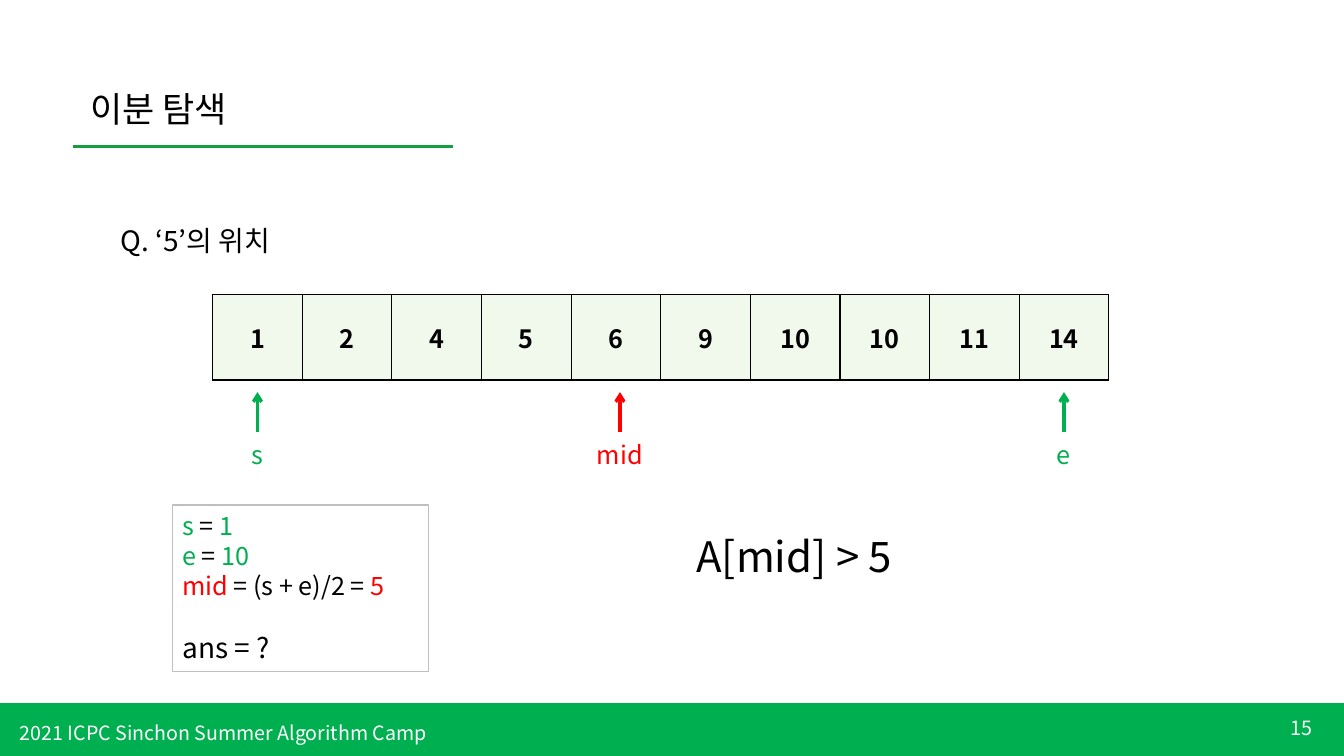
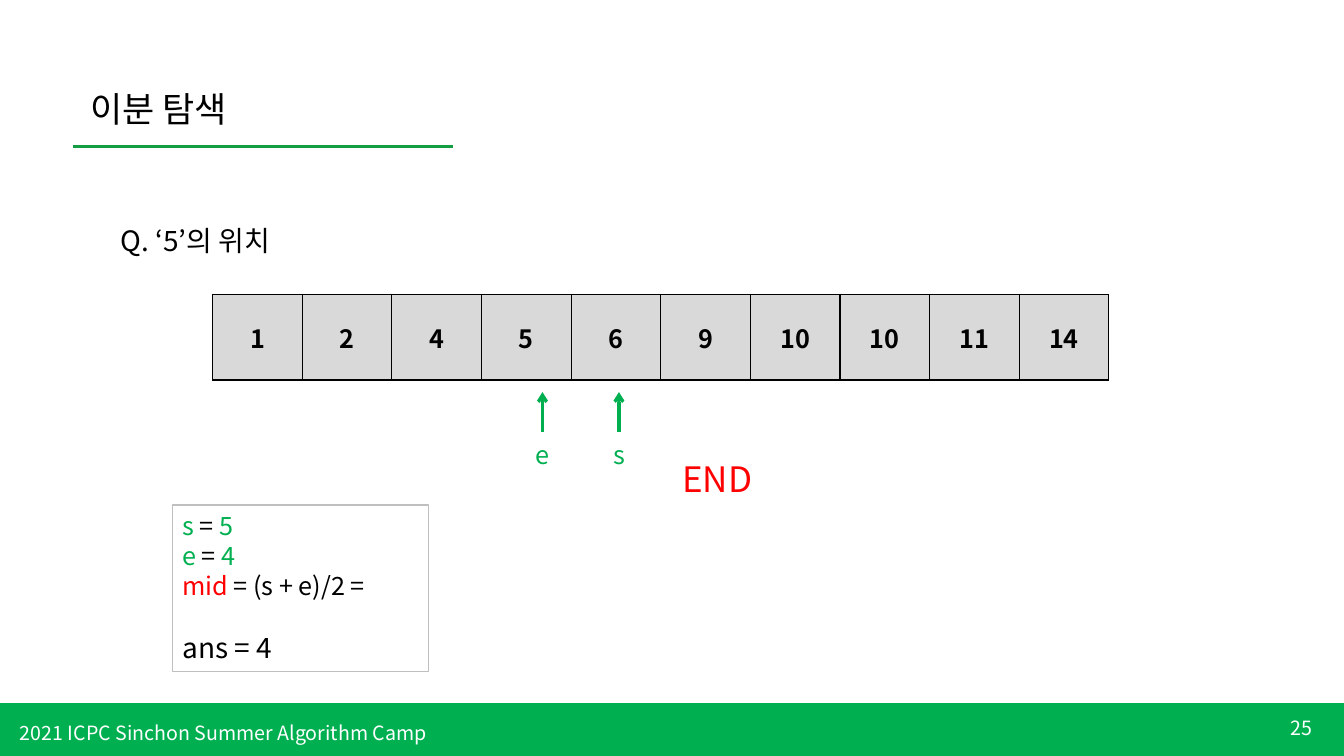
"""Build two binary-search slides that show an array with its pointers."""
from dataclasses import dataclass
from typing import Any, NamedTuple

import lxml.etree
import pptx
import pptx.dml.color
import pptx.enum.shapes
import pptx.enum.text
import pptx.oxml.ns
import pptx.util

qn = pptx.oxml.ns.qn
ALIGN = pptx.enum.text.PP_ALIGN
ANCHOR = pptx.enum.text.MSO_ANCHOR


@dataclass(frozen=True)
class Theme:
    font: str = "Noto Sans CJK KR"
    black: str = "000000"
    white: str = "FFFFFF"
    green: str = "00B050"
    rule: str = "159D41"
    red: str = "FF0000"
    frame: str = "BFBFBF"
    active: str = "F1F8EC"
    inactive: str = "D9D9D9"
    footer: int = 14
    label: int = 18
    body: int = 20
    title: int = 25
    verdict: int = 30
    thick: float = 2.25
    thin: float = 0.75


THEME = Theme()
UNIT = 0.1
COLS, ROWS = 133.33, 75
ARRAY = (1, 2, 4, 5, 6, 9, 10, 10, 11, 14)
CELL_W, CELL_H = 8.89, 8.5
ARRAY_LEFT, ARRAY_TOP = 21.1, 29.2
BAND_TOP = 69.8


class Box(NamedTuple):
    left: float
    top: float
    width: float
    height: float


class Run(NamedTuple):
    text: str
    color: str = THEME.black


class Line(NamedTuple):
    runs: tuple[Run, ...]
    size: int
    before: float = 0


class Pointer(NamedTuple):
    label: str
    cell: int
    color: str = THEME.green
    nudge: float = 0


class Verdict(NamedTuple):
    text: str
    box: Box
    size: int
    color: str = THEME.black


@dataclass(frozen=True)
class Step:
    number: int
    fill: str
    start: int
    end: int
    mid: str
    answer: str
    pointers: tuple[Pointer, ...]
    verdict: Verdict


STEPS = (
    Step(15, THEME.active, 1, 10, "5", "?",
         (Pointer("s", 0), Pointer("e", 9), Pointer("mid", 4, THEME.red, 0.4)),
         Verdict("A[mid] > 5", Box(68.1, 52.1, 25.4, 6.1), THEME.verdict)),
    Step(25, THEME.inactive, 5, 4, "", "4",
         (Pointer("s", 4, nudge=0.3), Pointer("e", 3, nudge=1.6)),
         Verdict("END", Box(66.7, 44.9, 13.9, 5.2), THEME.title, THEME.red)),
)


def grid(n: float) -> int:
    return pptx.util.Inches(n * UNIT)


def rgb(color: str) -> pptx.dml.color.RGBColor:
    return pptx.dml.color.RGBColor.from_string(color)


def assign(obj: Any, values: dict[str, Any]) -> None:
    for name, value in values.items():
        setattr(obj, name, value)


def write(tf: Any, lines: list[Line], align: Any = ALIGN.LEFT,
          anchor: Any = ANCHOR.TOP, bold: bool = False) -> None:
    assign(tf, {"word_wrap": True, "vertical_anchor": anchor,
                "auto_size": pptx.enum.text.MSO_AUTO_SIZE.NONE})
    for i, line in enumerate(lines):
        p = tf.paragraphs[0] if i == 0 else tf.add_paragraph()
        p.alignment = align
        if line.before:
            p.space_before = pptx.util.Pt(line.before)
        for run in line.runs:
            r = p.add_run()
            r.text = run.text
            assign(r.font, {"name": THEME.font, "bold": bold,
                            "size": pptx.util.Pt(line.size)})
            r.font.color.rgb = rgb(run.color)
            ea = lxml.etree.SubElement(r.font._element, qn("a:ea"))
            ea.set("typeface", THEME.font)


def add_text(s: Any, box: Box, text: str, size: int, color: str = THEME.black,
             **style: Any) -> None:
    sp = s.shapes.add_textbox(*map(grid, box))
    write(sp.text_frame, [Line((Run(text, color),), size)], **style)


def add_rect(s: Any, box: Box, color: str, width: float, filled: bool) -> Any:
    sp = s.shapes.add_shape(pptx.enum.shapes.MSO_SHAPE.RECTANGLE, *map(grid, box))
    sp.shadow.inherit = False
    if filled:
        sp.fill.solid()
        sp.fill.fore_color.rgb = rgb(color)
    else:
        sp.fill.background()
    sp.line.color.rgb = rgb(color)
    sp.line.width = pptx.util.Pt(width)
    return sp


def add_line(s: Any, x1: float, y1: float, x2: float, y2: float, color: str,
             arrow: bool = False) -> None:
    sp = s.shapes.add_connector(pptx.enum.shapes.MSO_CONNECTOR.STRAIGHT,
                                *map(grid, (x1, y1, x2, y2)))
    sp.line.color.rgb = rgb(color)
    sp.line.width = pptx.util.Pt(THEME.thick)
    pr = sp._element.spPr
    if arrow:
        lxml.etree.SubElement(pr.find(qn("a:ln")), qn("a:tailEnd")).set("type", "arrow")
    lxml.etree.SubElement(pr, qn("a:effectLst"))


def add_frame(s: Any, number: int) -> None:
    add_rect(s, Box(0, BAND_TOP, COLS, ROWS - BAND_TOP), THEME.green, 1, True)
    add_text(s, Box(121.2, 70.2, 10, 4), str(number), THEME.footer, THEME.white,
             align=ALIGN.RIGHT, anchor=ANCHOR.MIDDLE)
    add_text(s, Box(1, 71, 57.6, 3.4), "2021 ICPC Sinchon Summer Algorithm Camp",
             THEME.footer, THEME.white)
    add_line(s, 7.2, 14.5, 44.9, 14.5, THEME.rule)
    title = s.shapes.title
    box = Box(8, 8.2, 36.8, 5.2)
    assign(title, {name: grid(value) for name, value in box._asdict().items()})
    write(title.text_frame, [Line((Run("이분 탐색"),), THEME.title)])
    add_text(s, Box(11, 21.7, 27.4, 4.4), "Q. ‘5’의 위치", THEME.body)


def add_border(cell: Any) -> None:
    pr = cell._tc.get_or_add_tcPr()
    for side in "LRTB":
        ln = lxml.etree.SubElement(pr, qn(f"a:ln{side}"), w=str(pptx.util.Pt(1)))
        fill = lxml.etree.SubElement(ln, qn("a:solidFill"))
        lxml.etree.SubElement(fill, qn("a:srgbClr"), val=THEME.black)


def add_array(s: Any, color: str) -> None:
    box = Box(ARRAY_LEFT, ARRAY_TOP, CELL_W * len(ARRAY), CELL_H)
    table = s.shapes.add_table(1, len(ARRAY), *map(grid, box)).table
    assign(table, {"first_row": False, "horz_banding": False})
    for i, value in enumerate(ARRAY):
        table.columns[i].width = grid(CELL_W)
        cell = table.cell(0, i)
        add_border(cell)
        cell.fill.solid()
        cell.fill.fore_color.rgb = rgb(color)
        cell.vertical_anchor = ANCHOR.MIDDLE
        p = cell.text_frame.paragraphs[0]
        p.alignment = ALIGN.CENTER
        r = p.add_run()
        r.text = str(value)
        assign(r.font, {"name": THEME.font, "bold": True,
                        "size": pptx.util.Pt(THEME.label)})
        r.font.color.rgb = rgb(THEME.black)


def add_pointer(s: Any, pointer: Pointer) -> None:
    x = ARRAY_LEFT + CELL_W * (pointer.cell + 0.5) + pointer.nudge
    add_line(s, x, 42.9, x, 38.9, pointer.color, arrow=True)
    add_text(s, Box(x - 3.5, 43.1, 7, 4), pointer.label, THEME.label,
             pointer.color, align=ALIGN.CENTER)


def add_state(s: Any, step: Step) -> None:
    lines = [Line((Run(name, THEME.green), Run(" = "), Run(str(value), THEME.green)),
                  THEME.label)
             for name, value in (("s", step.start), ("e", step.end))]
    mid = (Run("mid", THEME.red), Run(" = (s + e)/2 ="))
    if step.mid:
        mid += (Run(f" {step.mid}", THEME.red),)
    lines += [Line(mid, THEME.label),
              Line((Run(f"ans = {step.answer}"),), THEME.body, 21.5)]
    sp = add_rect(s, Box(17.1, 50.1, 25.4, 16.5), THEME.frame, THEME.thin, False)
    write(sp.text_frame, lines)


def main() -> None:
    prs = pptx.Presentation()
    assign(prs, {"slide_width": grid(COLS), "slide_height": grid(ROWS)})
    for step in STEPS:
        s = prs.slides.add_slide(prs.slide_layouts[5])
        add_frame(s, step.number)
        add_array(s, step.fill)
        for pointer in step.pointers:
            add_pointer(s, pointer)
        add_state(s, step)
        verdict = step.verdict
        add_text(s, verdict.box, verdict.text, verdict.size, verdict.color)
    prs.save("out.pptx")


if __name__ == "__main__":
    main()
